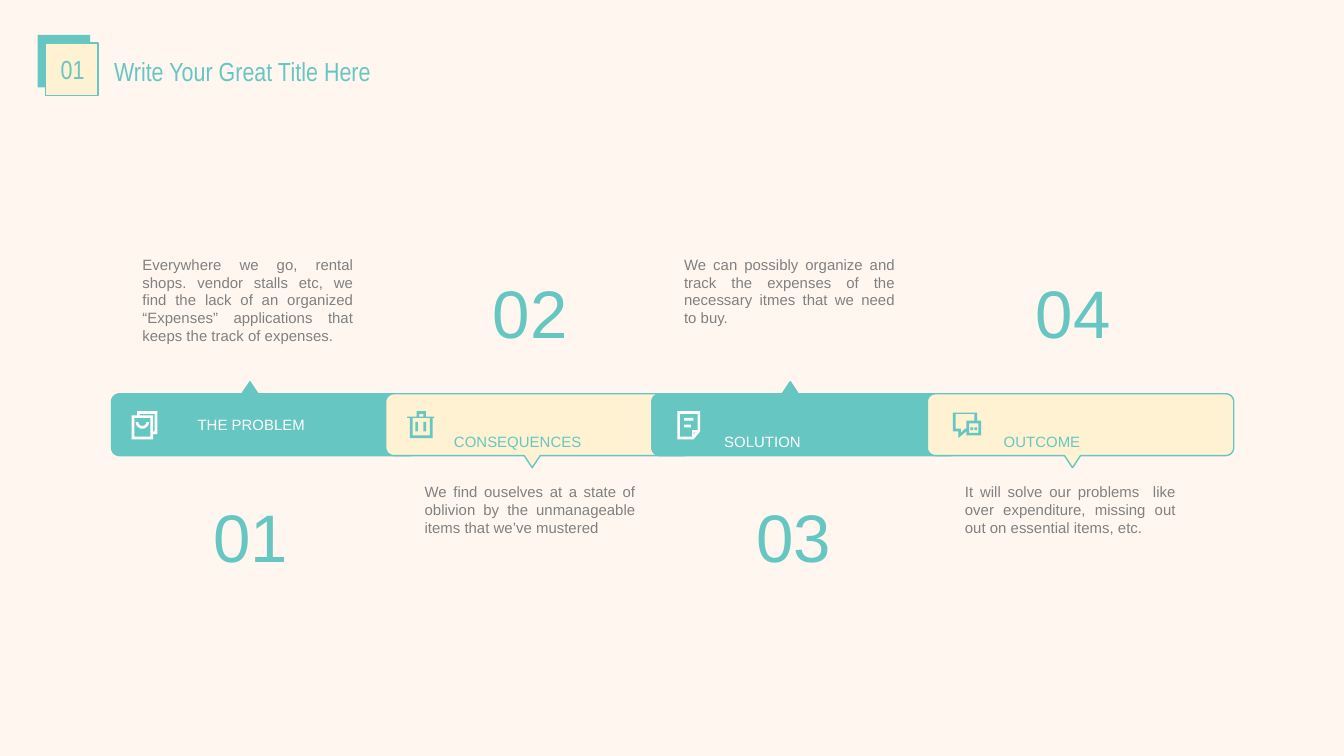
import math

import pptx
import pptx.dml.color
import pptx.enum.shapes
import pptx.enum.text
import pptx.util

Inches = pptx.util.Inches
RGBColor = pptx.dml.color.RGBColor
Align = pptx.enum.text.PP_ALIGN
RECT = pptx.enum.shapes.MSO_SHAPE.RECTANGLE

TEAL = RGBColor(0x66, 0xC6, 0xC2)
CREAM = RGBColor(0xFF, 0xF2, 0xD2)
WHITE = RGBColor(0xFF, 0xFF, 0xFF)
GREY = RGBColor(0x80, 0x80, 0x80)
PAPER = RGBColor(0xFF, 0xF6, 0xF0)

PAD = (0.1, 0.05, 0.1, 0.05)


def box(left, top, right, low):
    return [(left, top), (right, top), (right, low), (left, low)]


def arc(x, y, rad, start, end, steps=8):
    """Points on a circle, angles in degrees, clockwise on the slide."""
    turns = [math.radians(start + (end - start) * i / steps)
             for i in range(steps + 1)]
    return [(x + rad * math.cos(t), y + rad * math.sin(t)) for t in turns]


class Deck:
    def __init__(self, width, height):
        self.show = pptx.Presentation()
        self.show.slide_width = Inches(width)
        self.show.slide_height = Inches(height)
        self.slide = self.show.slides.add_slide(self.show.slide_layouts[6])
        back = self.slide.background.fill
        back.solid()
        back.fore_color.rgb = PAPER
        self.shapes = self.slide.shapes

    def paint(self, shape, fill, line=None):
        shape.shadow.inherit = False
        shape.fill.solid()
        shape.fill.fore_color.rgb = fill
        if line is None:
            shape.line.fill.background()
        else:
            shape.line.color.rgb = line
            shape.line.width = pptx.util.Pt(0.75)

    def rect(self, host, place, fill, line=None):
        shape = host.add_shape(RECT, *map(Inches, place))
        self.paint(shape, fill, line)

    def free(self, host, loops, fill, line=None):
        loops = [[(Inches(x), Inches(y)) for x, y in loop] for loop in loops]
        pen = host.build_freeform(*loops[0][0], scale=1.0)
        for i, loop in enumerate(loops):
            if i:
                pen.move_to(*loop[0])
            pen.add_line_segments(loop[1:], close=True)
        self.paint(pen.convert_to_shape(), fill, line)

    def icon(self, color, shapes, rects=()):
        host = self.shapes.add_group_shape().shapes
        for loops in shapes:
            self.free(host, loops, color)
        for place in rects:
            self.rect(host, place, color)

    def bar(self, left, tip, up, fill):
        """Rounded bar with a small pointer on its top or bottom edge."""
        top, low, wide, rad, half = 2.93, 3.39, 2.28, 0.06, 0.06
        right, mid = left + wide, left + tip
        crest = [(mid - half, top), (mid, top - 0.09), (mid + half, top)]
        point = [(mid + half, low), (mid, low + 0.09), (mid - half, low)]
        edge = arc(left + rad, top + rad, rad, 180, 270)
        edge += crest if up else []
        edge += arc(right - rad, top + rad, rad, 270, 360)
        edge += arc(right - rad, low - rad, rad, 0, 90)
        edge += [] if up else point
        edge += arc(left + rad, low - rad, rad, 90, 180)
        self.free(self.shapes, [edge], fill, TEAL)

    def text(self, place, words, size, color, font="Arial",
             align=Align.LEFT, pad=PAD):
        frame = self.shapes.add_textbox(*map(Inches, place)).text_frame
        frame.word_wrap = True
        (frame.margin_left, frame.margin_top,
         frame.margin_right, frame.margin_bottom) = map(Inches, pad)
        para = frame.paragraphs[0]
        para.alignment = align
        run = para.add_run()
        run.text = words
        run.font.size = pptx.util.Pt(size)
        run.font.name = font
        run.font.color.rgb = color


def main():
    # A 16:9 slide
    deck = Deck(10, 10 * 9 / 16)

    # Title
    deck.text((0.75, 0.36, 2.31, 0.33), "Write Your Great Title Here",
              14, TEAL, "Arial Narrow")

    # Bars, left to right, each over the one before
    for left, tip, up in ((0.83, 1.03, True), (2.87, 1.09, False),
                          (4.85, 1.03, True), (6.9, 1.08, False)):
        deck.bar(left, tip, up, TEAL if up else CREAM)

    # Note icon
    deck.icon(WHITE, [[
        [(5.04, 3.06), (5.04, 3.27), (5.16, 3.27), (5.21, 3.21), (5.21, 3.06)],
        [(5.06, 3.08), (5.19, 3.08), (5.19, 3.2), (5.15, 3.2), (5.15, 3.25),
         (5.06, 3.25)],
        [(5.18, 3.22), (5.16, 3.23), (5.16, 3.22)],
    ]], [(5.09, 3.11, 0.07, 0.02), (5.09, 3.16, 0.05, 0.02)])

    # Chat icon
    deck.icon(TEAL, [[
        [(7.27, 3.13), (7.27, 3.07), (7.09, 3.07), (7.09, 3.21), (7.13, 3.21),
         (7.13, 3.26), (7.19, 3.21), (7.19, 3.24), (7.3, 3.24), (7.3, 3.13)],
        [(7.18, 3.19), (7.15, 3.22), (7.15, 3.19), (7.11, 3.19), (7.11, 3.08),
         (7.25, 3.08), (7.25, 3.13), (7.19, 3.13), (7.19, 3.19)],
        box(7.21, 3.15, 7.28, 3.22),
    ]], [(x, 3.18, 0.02, 0.02) for x in (7.22, 7.25)])

    # Bin icon
    deck.icon(TEAL, [[
        [(3.23, 3.1), (3.17, 3.1), (3.17, 3.06), (3.1, 3.06), (3.1, 3.1),
         (3.03, 3.1), (3.03, 3.11), (3.05, 3.11), (3.05, 3.26), (3.22, 3.26),
         (3.22, 3.11), (3.23, 3.11)],
        box(3.12, 3.08, 3.15, 3.1),
        box(3.07, 3.11, 3.2, 3.24),
    ]], [(x, 3.14, 0.02, 0.07) for x in (3.09, 3.15)])

    # Bag icon
    smile = arc(1.06, 3.14, 0.05, 180, 0) + arc(1.06, 3.14, 0.03, 0, 180)
    deck.icon(WHITE, [[smile], [
        [(1.17, 3.06), (1.02, 3.06), (1.02, 3.09), (0.98, 3.09), (0.98, 3.27),
         (1.14, 3.27), (1.14, 3.23), (1.17, 3.23)],
        box(1, 3.11, 1.12, 3.25),
        [(1.15, 3.21), (1.14, 3.21), (1.14, 3.09), (1.04, 3.09), (1.04, 3.08),
         (1.15, 3.08)],
    ]])

    # Bar labels: the first sits mid-bar, the others a line lower
    low = (0.1, 0.18, 0, 0.05)
    for left, wide, tall, words, color, pad in (
            (1.22, 1.15, 0.23, "THE PROBLEM", WHITE, (0.25, 0.05, 0, 0.05)),
            (3.28, 1.3, 0.37, "CONSEQUENCES", TEAL, low),
            (5.29, 1.01, 0.37, "SOLUTION", WHITE, low),
            (7.37, 1.07, 0.37, "OUTCOME", TEAL, low)):
        deck.text((left, 3.04, wide, tall), words, 8, color, pad=pad)

    # Notes above and below the bars
    for left, top, tall, words in (
            (1.06, 1.9, 0.67, "Everywhere we go, rental shops. vendor stalls "
             "etc, we find the lack of an organized “Expenses” applications "
             "that keeps the track of expenses."),
            (5.09, 1.9, 0.54, "We can possibly organize and track the "
             "expenses of the necessary itmes that we need to buy."),
            (3.16, 3.59, 0.4, "We find ouselves at a state of oblivion by "
             "the unmanageable items that we’ve mustered"),
            (7.18, 3.59, 0.4, "It will solve our problems  like over "
             "expenditure, missing out out on essential items, etc.")):
        deck.text((left, top, 1.57, tall), words, 8, GREY,
                  align=Align.JUSTIFY, pad=(0, 0, 0, 0))

    # Large numbers
    for left, top, words in ((1.49, 3.64, "01"), (5.53, 3.64, "03"),
                             (3.57, 1.97, "02"), (7.61, 1.97, "04")):
        deck.text((left, top, 0.76, 0.7), words, 36, TEAL)

    # Section badge
    host = deck.shapes.add_group_shape().shapes
    deck.rect(host, (0.28, 0.26, 0.39, 0.39), TEAL)
    deck.rect(host, (0.34, 0.32, 0.39, 0.39), CREAM, TEAL)
    deck.text((0.35, 0.35, 0.38, 0.33), "01", 14, TEAL, "Arial Narrow",
              Align.CENTER, (0, 0.05, 0, 0.05))

    deck.show.save("out.pptx")


if __name__ == "__main__":
    main()
